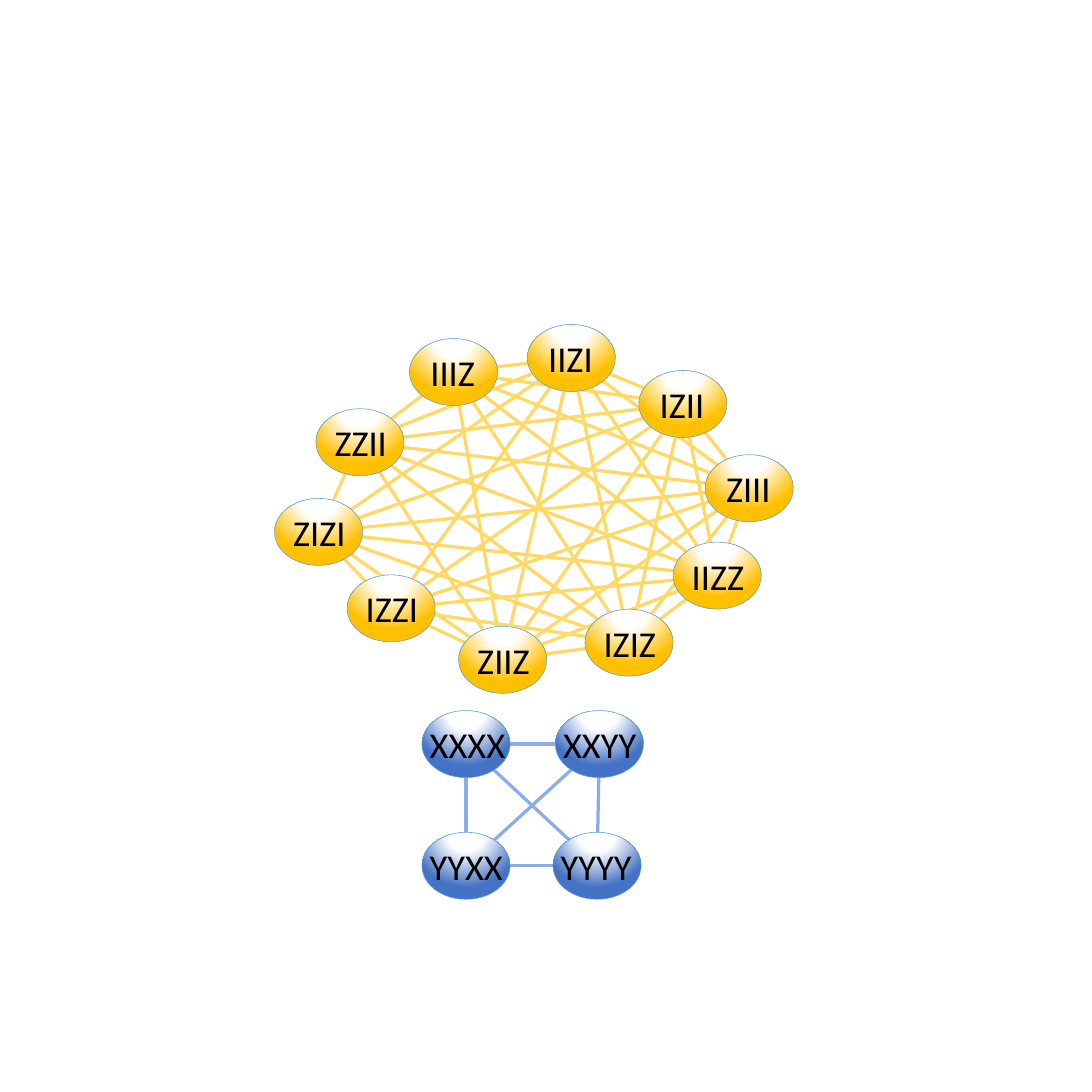
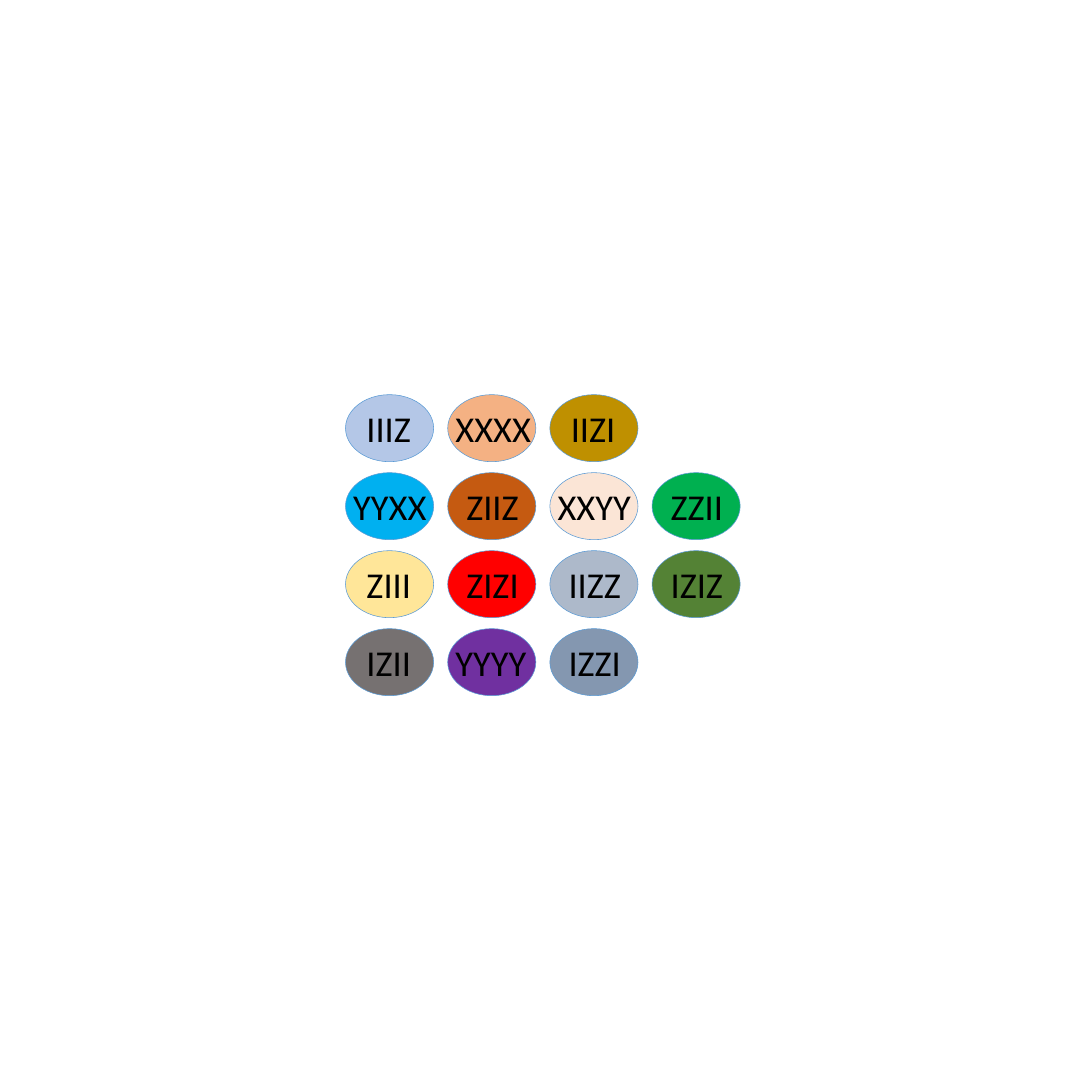
import math
from dataclasses import dataclass
from itertools import combinations

import pptx
import pptx.dml.color
import pptx.enum.shapes
import pptx.enum.text
import pptx.oxml.ns
import pptx.util
from lxml import etree

RGBColor = pptx.dml.color.RGBColor
qn = pptx.oxml.ns.qn

CELLS = 14
CELL = pptx.util.Inches(1)
NODE_WIDTH, NODE_HEIGHT = 1.13, 0.86
LABEL_WIDTH, LABEL_HEIGHT = 1.28, 0.67
LABEL_DROP = 0.1
LABEL_SHIFT_BY_Z = {0: 0, 1: 0.17, 2: 0.14}
GRID_LEFT, GRID_TOP = 4.43, 5.06
GRID_STEP_X, GRID_STEP_Y = 1.31, 1

BLACK = RGBColor(0x00, 0x00, 0x00)
WHITE = RGBColor(0xFF, 0xFF, 0xFF)
OUTLINE = RGBColor(0x5B, 0x9B, 0xD5)
GOLD = RGBColor(0xFF, 0xC0, 0x00)
GOLD_LINK = RGBColor(0xFF, 0xD9, 0x66)
BLUE = RGBColor(0x44, 0x72, 0xC4)
BLUE_LINK = RGBColor(0x88, 0xAD, 0xE8)
PERIWINKLE = RGBColor(0xB4, 0xC7, 0xE7)
PEACH = RGBColor(0xF4, 0xB1, 0x83)
MUSTARD = RGBColor(0xBF, 0x90, 0x00)
SKY = RGBColor(0x00, 0xB0, 0xF0)
RUST = RGBColor(0xC5, 0x5A, 0x11)
BLUSH = RGBColor(0xFB, 0xE5, 0xD6)
GREEN = RGBColor(0x00, 0xB0, 0x50)
CREAM = RGBColor(0xFF, 0xE6, 0x99)
RED = RGBColor(0xFF, 0x00, 0x00)
MIST = RGBColor(0xAD, 0xB9, 0xCA)
MOSS = RGBColor(0x54, 0x82, 0x35)
GRAY = RGBColor(0x76, 0x71, 0x71)
PURPLE = RGBColor(0x70, 0x30, 0xA0)
SLATE = RGBColor(0x84, 0x97, 0xB0)


@dataclass(frozen=True)
class Node:
    word: str
    left: float
    top: float


@dataclass(frozen=True)
class Graph:
    nodes: tuple[Node, ...]
    color: RGBColor
    link_color: RGBColor
    unlinked: frozenset[tuple[str, str]] = frozenset()


Z_GRAPH = Graph(
    (
        Node("IIIZ", 5.25, 4.34),
        Node("IIZI", 6.76, 4.16),
        Node("IZII", 8.19, 4.75),
        Node("ZIII", 9.04, 5.83),
        Node("IIZZ", 8.63, 6.95),
        Node("IZIZ", 7.5, 7.81),
        Node("ZIIZ", 5.88, 8.03),
        Node("IZZI", 4.45, 7.37),
        Node("ZIZI", 3.52, 6.39),
        Node("ZZII", 4.05, 5.24),
    ),
    GOLD,
    GOLD_LINK,
    frozenset({("IIIZ", "IZZI"), ("IIIZ", "ZIZI"), ("IZZI", "ZZII")}),
)
XY_GRAPH = Graph(
    (
        Node("XXXX", 5.41, 9.11),
        Node("XXYY", 7.12, 9.11),
        Node("YYXX", 5.41, 10.67),
        Node("YYYY", 7.09, 10.67),
    ),
    BLUE,
    BLUE_LINK,
)
COLORED_ROWS = (
    (("IIIZ", PERIWINKLE), ("XXXX", PEACH), ("IIZI", MUSTARD)),
    (("YYXX", SKY), ("ZIIZ", RUST), ("XXYY", BLUSH), ("ZZII", GREEN)),
    (("ZIII", CREAM), ("ZIZI", RED), ("IIZZ", MIST), ("IZIZ", MOSS)),
    (("IZII", GRAY), ("YYYY", PURPLE), ("IZZI", SLATE)),
)


def cells(count: float) -> int:
    return round(count * CELL)


def add_ellipse(page, node: Node, color: RGBColor):
    ellipse = page.shapes.add_shape(
        pptx.enum.shapes.MSO_SHAPE.OVAL,
        cells(node.left), cells(node.top), cells(NODE_WIDTH), cells(NODE_HEIGHT),
    )
    ellipse.shadow.inherit = False
    ellipse.fill.solid()
    ellipse.fill.fore_color.rgb = color
    ellipse.line.color.rgb = OUTLINE
    ellipse.line.width = pptx.util.Pt(0.5)
    return ellipse


def add_gloss(ellipse, color: RGBColor) -> None:
    ellipse.fill.gradient()
    gradient = ellipse.element.spPr.find(qn("a:gradFill"))
    gradient.clear()
    gradient.set("rotWithShape", "1")
    stops = etree.SubElement(gradient, qn("a:gsLst"))
    for percent, stop_color in ((0, WHITE), (35, WHITE), (100, color)):
        stop = etree.SubElement(stops, qn("a:gs"), pos=str(percent * 1000))
        etree.SubElement(stop, qn("a:srgbClr"), val=str(stop_color))
    circle = etree.SubElement(gradient, qn("a:path"), attrib={"path": "circle"})
    etree.SubElement(
        circle, qn("a:fillToRect"), l="50000", t="-80000", r="50000", b="180000"
    )


def add_label(page, node: Node) -> None:
    shift = LABEL_SHIFT_BY_Z[node.word.count("Z")]
    box = page.shapes.add_textbox(
        cells(node.left + shift), cells(node.top + LABEL_DROP),
        cells(LABEL_WIDTH), cells(LABEL_HEIGHT),
    )
    box.text_frame.word_wrap = True
    box.text_frame.auto_size = pptx.enum.text.MSO_AUTO_SIZE.SHAPE_TO_FIT_TEXT
    para = box.text_frame.paragraphs[0]
    para.text = node.word
    para.font.name = "Calibri"
    para.font.size = pptx.util.Pt(33.6)
    para.font.color.rgb = BLACK


def add_link(page, start: Node, end: Node, color: RGBColor) -> None:
    across, down = end.left - start.left, end.top - start.top
    share = 0.5 / math.hypot(across / NODE_WIDTH, down / NODE_HEIGHT)
    center_x = start.left + NODE_WIDTH / 2
    center_y = start.top + NODE_HEIGHT / 2
    points = [
        cells(value)
        for part in (share, 1 - share)
        for value in (center_x + across * part, center_y + down * part)
    ]
    link = page.shapes.add_connector(
        pptx.enum.shapes.MSO_CONNECTOR.STRAIGHT, *points
    )
    link.line.color.rgb = color
    link.line.width = pptx.util.Pt(3)
    etree.SubElement(link.element.spPr, qn("a:effectLst"))


def add_graph(page, graph: Graph) -> None:
    for start, end in combinations(graph.nodes, 2):
        if (start.word, end.word) not in graph.unlinked:
            add_link(page, start, end, graph.link_color)
    for node in graph.nodes:
        add_gloss(add_ellipse(page, node, graph.color), graph.color)
        add_label(page, node)


def add_colored_grid(page) -> None:
    for row, entries in enumerate(COLORED_ROWS):
        for column, (word, color) in enumerate(entries):
            node = Node(
                word, GRID_LEFT + column * GRID_STEP_X, GRID_TOP + row * GRID_STEP_Y
            )
            add_ellipse(page, node, color)
            add_label(page, node)


def main() -> None:
    deck = pptx.Presentation()
    deck.slide_width = deck.slide_height = cells(CELLS)
    blank = deck.slide_layouts[6]
    graph_page = deck.slides.add_slide(blank)
    for graph in (XY_GRAPH, Z_GRAPH):
        add_graph(graph_page, graph)
    add_colored_grid(deck.slides.add_slide(blank))
    deck.save("out.pptx")


if __name__ == "__main__":
    main()
